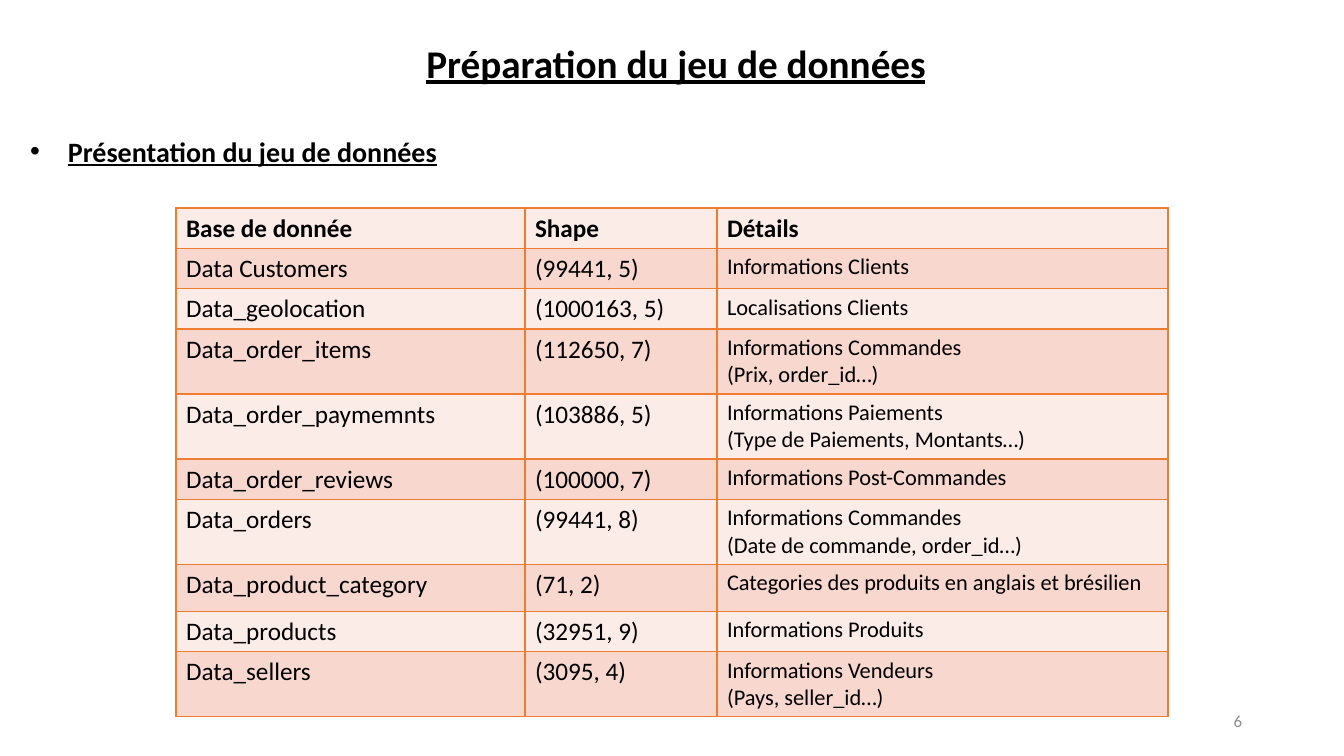
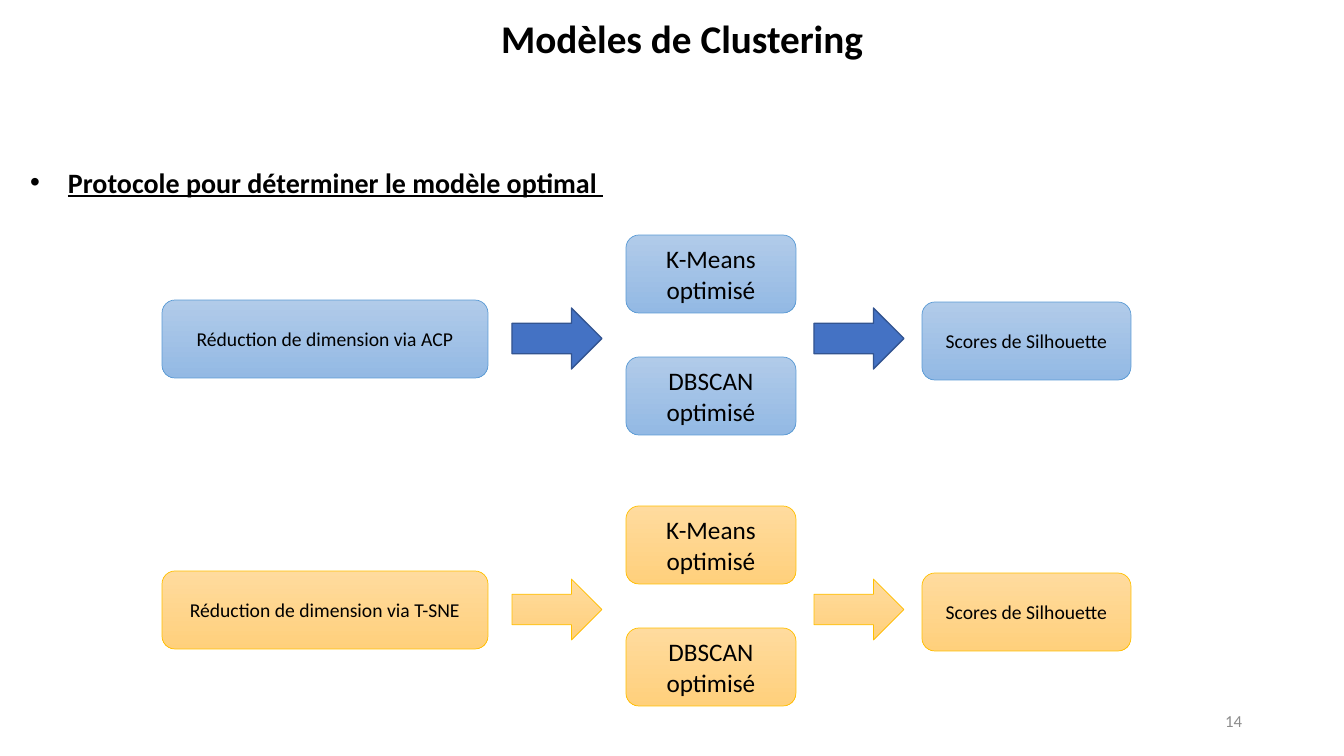
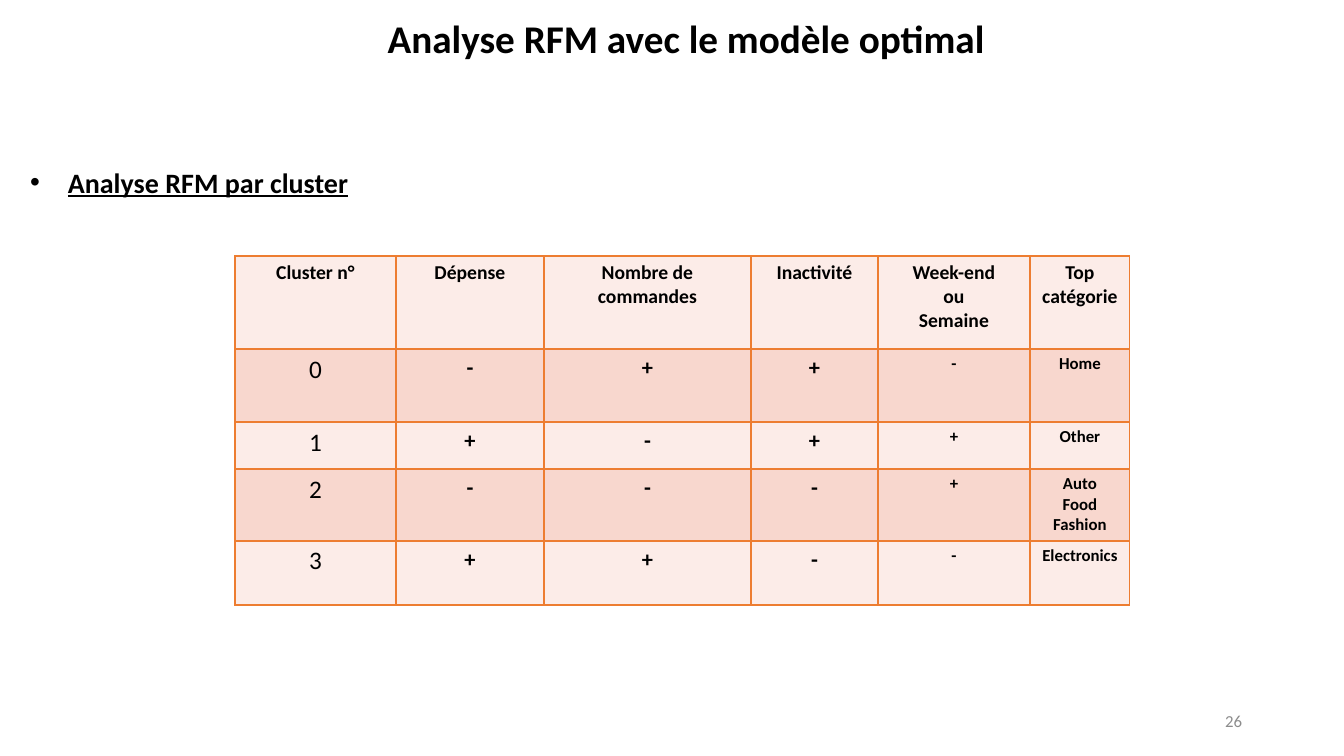
import pptx
import pptx.dml.color
import pptx.enum.shapes
import pptx.enum.text
import pptx.oxml.ns
import pptx.util
from lxml import etree

EMU_PER_PX = 12192000 / 1344
FONT = "Calibri"
COLOURS = {
    "text": "000000",
    "number": "8C8C8C",
    "border": "ED7D31",
    "light row": "FCECE8",
    "dark row": "F8D7CE",
}
# Each palette: fill colours (two make a gradient), line colour, line width
PALETTES = {
    "blue": (["B1CBE9", "93B9E4"], "5B9BD5", 0.5),
    "solid blue": (["4472C4"], "325491", 1),
    "gold": (["FFDB9E", "FFD07C"], "FFC000", 0.5),
}
ALIGN = pptx.enum.text.PP_ALIGN
ANCHOR = pptx.enum.text.MSO_ANCHOR
SHAPE = pptx.enum.shapes.MSO_SHAPE


def px(length):
    return pptx.util.Emu(round(length * EMU_PER_PX))


def rgb(hex_colour):
    return pptx.dml.color.RGBColor.from_string(hex_colour)


class Deck:
    """Holds the presentation, its style and the current slide."""

    def __init__(self):
        self.presentation = pptx.Presentation()
        self.presentation.slide_width = px(1344)
        self.presentation.slide_height = px(756)
        self.slide = None

    def add_slide(self, title, title_box, subtitle, subtitle_top, number, underline=False):
        layout = self.presentation.slide_layouts[1]
        self.slide = self.presentation.slides.add_slide(layout)
        self.fill_placeholder(self.slide.shapes.title, title, title_box, 28, ALIGN.CENTER, underline)
        self.fill_placeholder(self.slide.placeholders[1], subtitle,
                              (20, subtitle_top, 594, 53), 20, ALIGN.JUSTIFY, True)
        self.add_number(number)

    def set_text(self, frame, text, size, align=ALIGN.LEFT, bold=False, underline=False, colour="text"):
        """Fill a text frame, one paragraph per line of text."""
        frame.text = text
        for paragraph in frame.paragraphs:
            paragraph.alignment = align
            font = paragraph.font
            font.name, font.size = FONT, pptx.util.Pt(size)
            font.bold, font.underline = bold, underline
            font.color.rgb = rgb(COLOURS[colour])

    def fill_placeholder(self, placeholder, text, box, size, align, underline):
        placeholder.left, placeholder.top, placeholder.width, placeholder.height = map(px, box)
        frame = placeholder.text_frame
        frame.auto_size = pptx.enum.text.MSO_AUTO_SIZE.NONE
        frame.vertical_anchor = ANCHOR.TOP
        paragraph = frame.paragraphs[0]
        paragraph.line_spacing = 0.9
        paragraph.space_before = pptx.util.Pt(10)
        properties = paragraph._p.get_or_add_pPr()
        properties.set("marL", "0")
        properties.set("indent", "0")
        etree.SubElement(properties, pptx.oxml.ns.qn("a:buNone"))
        self.set_text(frame, text, size, align, True, underline)

    def add_number(self, number):
        frame = self.slide.shapes.add_textbox(*map(px, (950, 701, 302, 40))).text_frame
        frame.word_wrap = True
        frame.vertical_anchor = ANCHOR.MIDDLE
        self.set_text(frame, str(number), 12, ALIGN.RIGHT, colour="number")

    def add_table(self, left, top, widths, heights, rows, style):
        """Draw a table; style(row, column) gives size, bold and alignment."""
        box = map(px, (left, top, sum(widths), sum(heights)))
        table = self.slide.shapes.add_table(len(rows), len(widths), *box).table
        table.first_row = table.horz_banding = False
        for column, width in zip(table.columns, widths):
            column.width = px(width)
        for row, height in zip(table.rows, heights):
            row.height = px(height)
        for row_index, texts in enumerate(rows):
            for column_index, text in enumerate(texts):
                cell = table.cell(row_index, column_index)
                size, bold, align = style(row_index, column_index)
                self.set_text(cell.text_frame, text, size, align, bold)
                self.add_borders(cell)
                cell.fill.solid()
                cell.fill.fore_color.rgb = rgb(COLOURS["dark row" if row_index % 2 else "light row"])

    def add_borders(self, cell):
        qn = pptx.oxml.ns.qn
        properties = cell._tc.get_or_add_tcPr()
        for side in ("lnL", "lnR", "lnT", "lnB"):
            line = etree.SubElement(properties, qn("a:" + side), w=str(int(pptx.util.Pt(1))))
            fill = etree.SubElement(line, qn("a:solidFill"))
            etree.SubElement(fill, qn("a:srgbClr"), val=COLOURS["border"])

    def add_shape(self, kind, box, palette):
        shape = self.slide.shapes.add_shape(kind, *map(px, box))
        shape.shadow.inherit = False
        fills, line_colour, line_width = PALETTES[palette]
        if len(fills) > 1:
            shape.fill.gradient()
            shape.fill.gradient_angle = 270
            for stop, colour in zip(shape.fill.gradient_stops, fills):
                stop.color.rgb = rgb(colour)
        else:
            shape.fill.solid()
            shape.fill.fore_color.rgb = rgb(fills[0])
        shape.line.color.rgb = rgb(line_colour)
        shape.line.width = pptx.util.Pt(line_width)
        return shape

    def add_step(self, text, left, top, width, size, palette):
        shape = self.add_shape(SHAPE.ROUNDED_RECTANGLE, (left, top, width, 78), palette)
        shape.text_frame.vertical_anchor = ANCHOR.MIDDLE
        self.set_text(shape.text_frame, text, size, ALIGN.CENTER)

    def add_flow(self, top, reduction, palette, arrow_palette):
        """Draw one chain: reduction, two models, scores."""
        self.add_step(reduction, 162, top + 65, 326, 14, palette)
        self.add_step("K-Means\noptimisé", 626, top, 170, 18, palette)
        self.add_step("DBSCAN\noptimisé", 626, top + 122, 170, 18, palette)
        self.add_step("Scores de Silhouette", 922, top + 67, 209, 14, palette)
        for left in (512, 814):
            self.add_shape(SHAPE.RIGHT_ARROW, (left, top + 73, 90, 61), arrow_palette)


def dataset_style(row, column):
    return (16 if row and column == 2 else 18), row == 0, ALIGN.LEFT


def cluster_style(row, column):
    size = 14 if row == 0 else (18, 16, 16, 16, 12, 12)[column]
    return size, row == 0 or column > 0, ALIGN.CENTER


DATASETS = [
    ("Base de donnée", "Shape", "Détails"),
    ("Data Customers", "(99441, 5)", "Informations Clients"),
    ("Data_geolocation", "(1000163, 5)", "Localisations Clients"),
    ("Data_order_items", "(112650, 7)", "Informations Commandes\n(Prix, order_id…)"),
    ("Data_order_paymemnts", "(103886, 5)", "Informations Paiements\n(Type de Paiements, Montants…)"),
    ("Data_order_reviews", "(100000, 7)", "Informations Post-Commandes"),
    ("Data_orders", "(99441, 8)", "Informations Commandes\n(Date de commande, order_id…)"),
    ("Data_product_category", "(71, 2)", "Categories des produits en anglais et brésilien"),
    ("Data_products", "(32951, 9)", "Informations Produits"),
    ("Data_sellers", "(3095, 4)", "Informations Vendeurs\n(Pays, seller_id…)"),
]
CLUSTERS = [
    ("Cluster n°", "Dépense", "Nombre de commandes", "Inactivité",
     "Week-end\nou\nSemaine", "Top catégorie"),
    ("0", "-", "+", "+", "-", "Home"),
    ("1", "+", "-", "+", "+", "Other"),
    ("2", "-", "-", "-", "+", "Auto\nFood\nFashion"),
    ("3", "+", "+", "-", "-", "Electronics"),
]


def main():
    deck = Deck()

    deck.add_slide("Préparation du jeu de données", (379, 34, 594, 55),
                   "Présentation du jeu de données", 129, 6, underline=True)
    deck.add_table(176, 208, (349, 192, 451), (40, 40, 40, 65, 65, 40, 65, 47, 40, 65),
                   DATASETS, dataset_style)

    deck.add_slide("Modèles de Clustering", (311, 9, 742, 53),
                   "Protocole pour déterminer le modèle optimal ", 160, 14)
    deck.add_flow(235, "Réduction de dimension via ACP", "blue", "solid blue")
    deck.add_flow(506, "Réduction de dimension via T-SNE", "gold", "gold")

    deck.add_slide("Analyse RFM avec le modèle optimal", (315, 9, 742, 53),
                   "Analyse RFM par cluster", 160, 26)
    deck.add_table(235, 256, (161, 148, 207, 127, 152, 100), (93, 73, 47, 72, 64),
                   CLUSTERS, cluster_style)

    deck.presentation.save("out.pptx")


if __name__ == "__main__":
    main()
